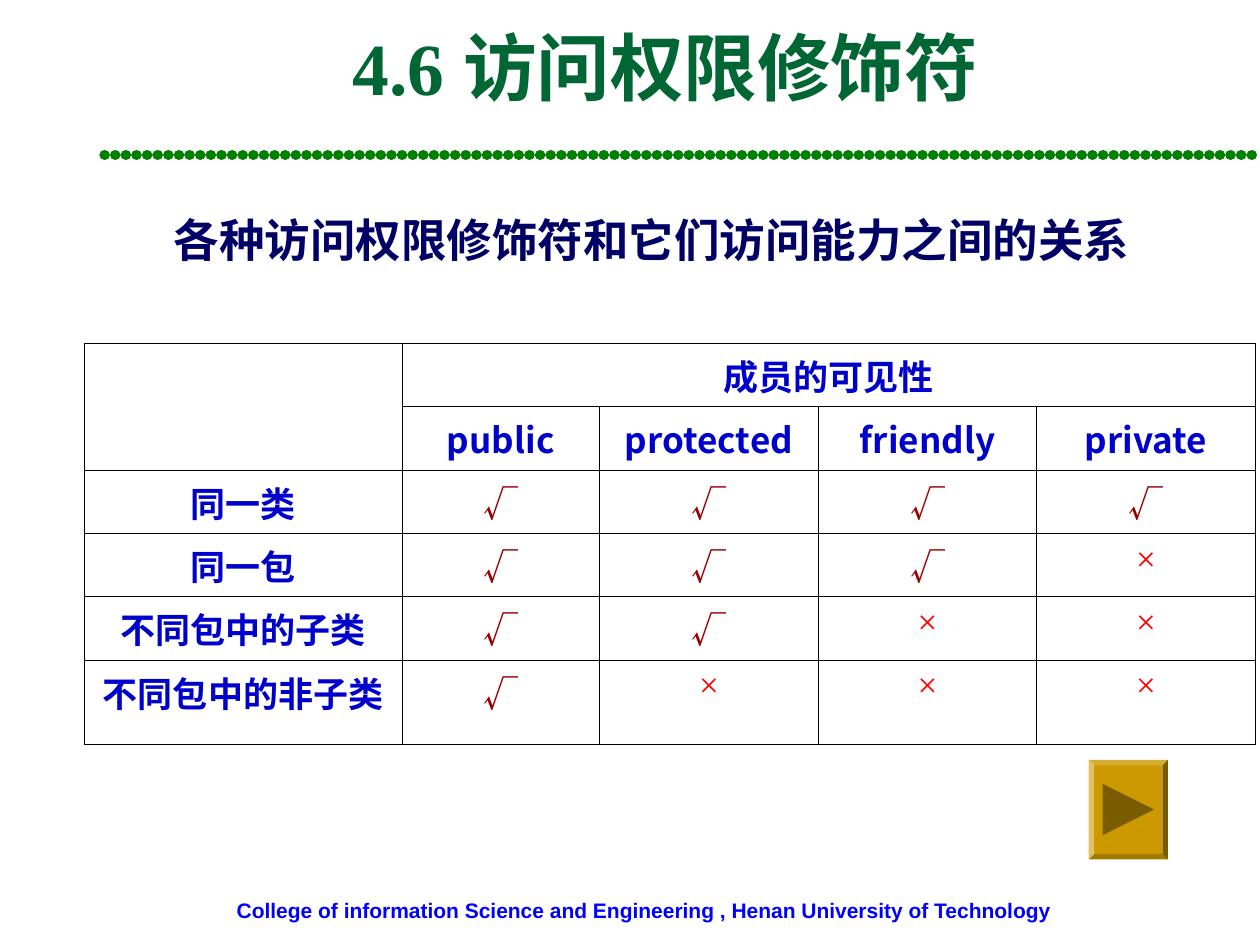
from lxml import etree
from pptx import Presentation
from pptx.dml.color import RGBColor
from pptx.enum.shapes import MSO_CONNECTOR, MSO_SHAPE
from pptx.enum.text import MSO_ANCHOR, PP_ALIGN
from pptx.oxml.ns import qn
from pptx.util import Inches, Pt

CENTER, LEFT = PP_ALIGN.CENTER, PP_ALIGN.LEFT
TOP, MIDDLE = MSO_ANCHOR.TOP, MSO_ANCHOR.MIDDLE
STRAIGHT = MSO_CONNECTOR.STRAIGHT
BEVEL = MSO_SHAPE.BEVEL

CJK, SERIF, SANS = "Noto Sans CJK SC", "Times New Roman", "Arial"
color = RGBColor.from_string

presentation = Presentation()
presentation.slide_width, presentation.slide_height = Inches(10), Inches(7.5)
COLUMN = presentation.slide_width / 100
ROW = presentation.slide_height / 75


def place(left, top, width, height):
    """Turn grid columns and rows into slide lengths."""
    return int(left * COLUMN), int(top * ROW), int(width * COLUMN), int(height * ROW)


def write(text_frame, text, size, hex_color, font=CJK, east_asian=CJK, bold=True, align=CENTER):
    paragraph = text_frame.paragraphs[0]
    paragraph.alignment = align
    run = paragraph.add_run()
    run.text = text
    run.font.size, run.font.bold, run.font.name = Pt(size), bold, font
    run.font.color.rgb = color(hex_color)
    etree.SubElement(run.font._element, qn("a:ea"), typeface=east_asian)


slide = presentation.slides.add_slide(presentation.slide_layouts[5])

# Title
title = slide.shapes.title
title.left, title.top, title.width, title.height = place(10.6, 0.6, 84.4, 9.3)
title_frame = title.text_frame
title_frame.margin_top = title_frame.margin_bottom = 0
title_frame.vertical_anchor = MIDDLE
write(title_frame, "4.6 访问权限修饰符", 42, "006633", font=SERIF)

# Dotted rule: round dots that just touch
left, top, width, _ = place(8.3, 12.3, 91.7, 0)
rule = slide.shapes.add_connector(STRAIGHT, left, top, left + width, top)
rule.line.width = Pt(6)
rule.line.color.rgb = color("008000")
outline = rule.line._get_or_add_ln()
outline.set("cap", "rnd")
dashes = etree.SubElement(outline, qn("a:custDash"))
etree.SubElement(dashes, qn("a:ds"), d="100000", sp="1000")
etree.SubElement(rule._element.spPr, qn("a:effectLst"))

# Subtitle
subtitle_frame = slide.shapes.add_textbox(*place(9.4, 16.8, 84.7, 7.1)).text_frame
subtitle_frame.word_wrap = True
subtitle_frame.margin_top = subtitle_frame.margin_bottom = 0
subtitle_frame.vertical_anchor = TOP
write(subtitle_frame, "各种访问权限修饰符和它们访问能力之间的关系", 26, "000066", font=SANS)

# Visibility table: each scope can reach the first few modifiers
modifiers = ["public", "protected", "friendly", "private"]
scopes = {"同一类": 4, "同一包": 3, "不同包中的子类": 2, "不同包中的非子类": 1}
column_widths = [25.2, 15.7] + [17.35] * 3
row_heights = [5.03] * 5 + [6.67]

frame = slide.shapes.add_table(
    len(row_heights), len(column_widths),
    *place(6.7, 27.25, sum(column_widths), sum(row_heights)))
table = frame.table
table.first_row = table.horz_banding = False
for table_column, width in zip(table.columns, column_widths):
    table_column.width = int(width * COLUMN)
for table_row, height in zip(table.rows, row_heights):
    table_row.height = int(height * ROW)

for cell in table.iter_cells():
    properties = cell._tc.get_or_add_tcPr()
    for side in ("lnL", "lnR", "lnT", "lnB"):
        border = etree.SubElement(properties, qn(f"a:{side}"), w=str(Pt(0.45)))
        fill = etree.SubElement(border, qn("a:solidFill"))
        etree.SubElement(fill, qn("a:srgbClr"), val="000000")
    cell.fill.background()

table.cell(0, 0).merge(table.cell(1, 0))
table.cell(0, 1).merge(table.cell(0, 4))
write(table.cell(0, 1).text_frame, "成员的可见性", 20, "0000CC")
for column, modifier in enumerate(modifiers, start=1):
    write(table.cell(1, column).text_frame, modifier, 20, "0000CC")

for row, (scope, visible) in enumerate(scopes.items(), start=2):
    write(table.cell(row, 0).text_frame, scope, 20, "0000CC", font=SERIF)
    for column in range(1, len(modifiers) + 1):
        mark_frame = table.cell(row, column).text_frame
        if column <= visible:
            write(mark_frame, "√", 20, "990000", bold=False)
        else:
            write(mark_frame, "×", 20, "FF0000", font=SERIF, east_asian=SERIF, bold=False)

# Next button: a bevelled plate with a dark arrow
plate = slide.shapes.add_shape(BEVEL, *place(86.4, 60.3, 6.3, 7.9))
plate.adjustments[0] = 0.07
left, top, width, height = place(87.5, 62.2, 4.1, 4.1)
builder = slide.shapes.build_freeform(left, top)
builder.add_line_segments([(left + width, top + height // 2), (left, top + height)])
arrow = builder.convert_to_shape()
for shape, hex_color in ((plate, "CC9900"), (arrow, "7A5C00")):
    shape.shadow.inherit = False
    shape.fill.solid()
    shape.fill.fore_color.rgb = color(hex_color)
    shape.line.fill.background()

# Footer
footer_frame = slide.shapes.add_textbox(*place(17.8, 70.75, 66.8, 3)).text_frame
footer_frame.word_wrap = False
write(footer_frame, "College of information Science and Engineering , Henan University of Technology",
      12, "0000FF", font=SANS, align=LEFT)

presentation.save("out.pptx")
